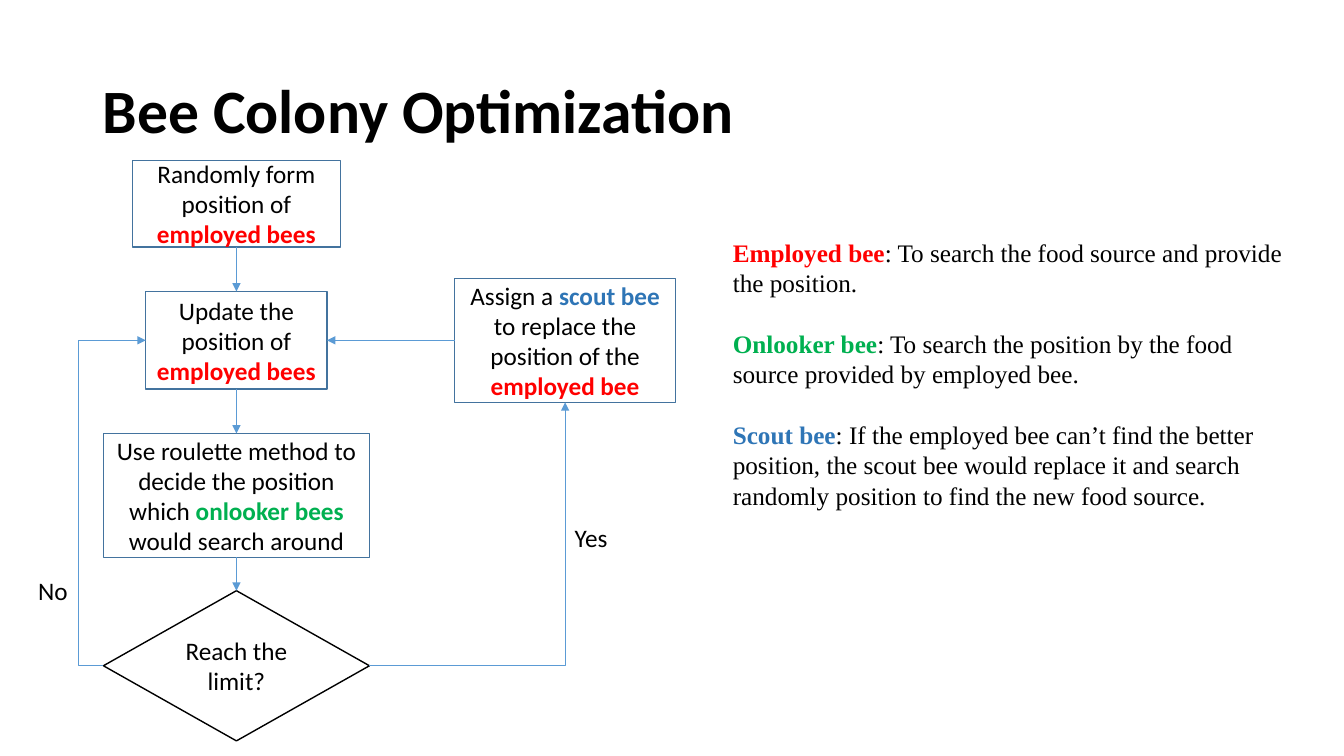
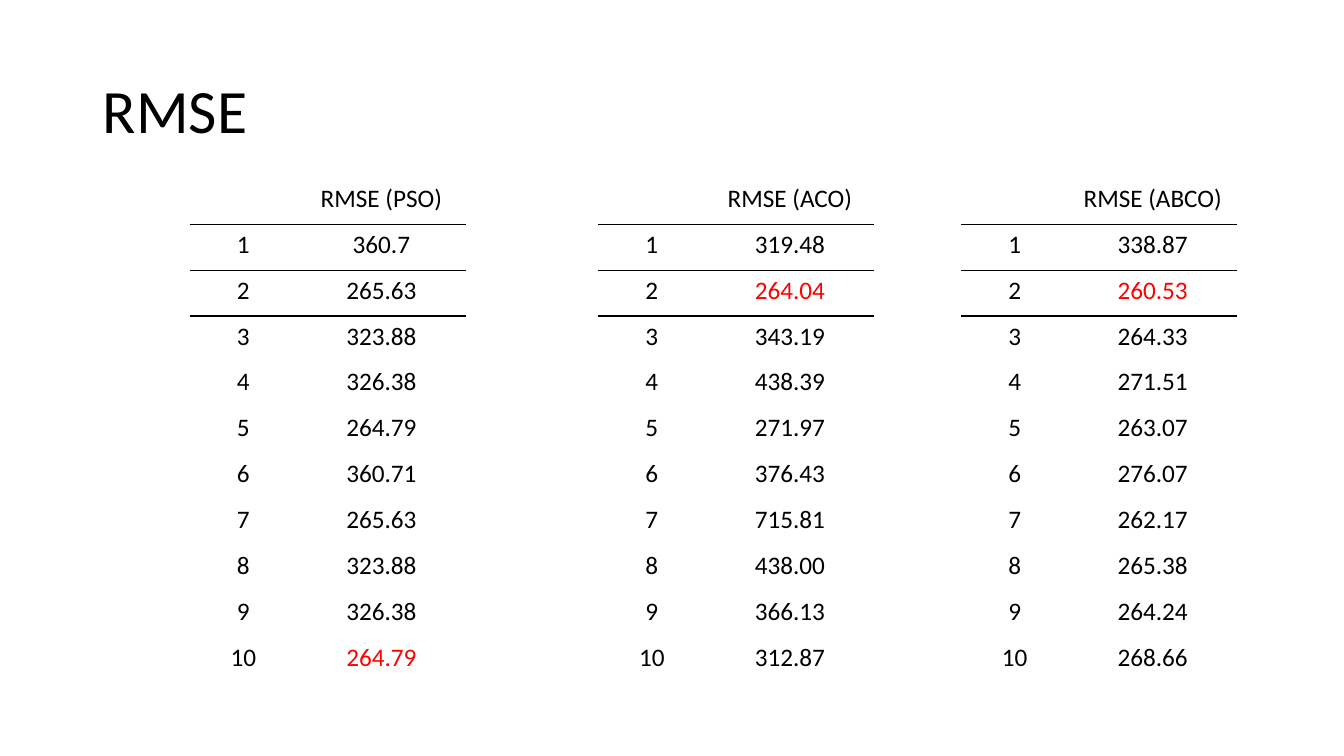
from dataclasses import dataclass

from lxml import etree
from pptx import Presentation
from pptx.dml.color import RGBColor
from pptx.enum.shapes import MSO_CONNECTOR as Connector, MSO_SHAPE as Shape
from pptx.enum.text import MSO_ANCHOR as Anchor, PP_ALIGN as Align
from pptx.oxml.ns import qn
from pptx.util import Emu, Inches, Pt

BLACK = RGBColor(0x00, 0x00, 0x00)
RED = RGBColor(0xFF, 0x00, 0x00)
GREEN = RGBColor(0x00, 0xB0, 0x50)
BLUE = RGBColor(0x2E, 0x75, 0xB6)
BORDER = RGBColor(0x43, 0x73, 0x9E)
ARROW = RGBColor(0x5B, 0x9B, 0xD5)
SANS, SERIF = "Calibri", "Times New Roman"
BODY_SIZE, TITLE_SIZE = Pt(18), Pt(44)
TITLE_ONLY = 5
PLAIN_TABLE = "{2D5ABB26-0587-4C30-8999-92F81FD0307C}"
TOP, LEFT, BOTTOM, RIGHT = range(4)


@dataclass
class Box:
    """A rectangle that hands out areas of itself by percentage."""
    left: int
    top: int
    width: int
    height: int

    def area(self, left, top, width, height):
        """Return the inner box at the given percentages."""
        return Box(Emu(round(self.left + self.width * left / 100)),
                   Emu(round(self.top + self.height * top / 100)),
                   Emu(round(self.width * width / 100)),
                   Emu(round(self.height * height / 100)))

    def centred(self, middle, top, width, height):
        """Return the inner box centred on a vertical axis."""
        return self.area(middle - width / 2, top, width, height)

    def place(self):
        """Return left, top, width and height."""
        return self.left, self.top, self.width, self.height


def style_paragraph(paragraph, font_name=SANS, size=BODY_SIZE, align=Align.LEFT):
    """Set the font and alignment of a paragraph."""
    paragraph.alignment = align
    paragraph.font.name = font_name
    paragraph.font.size = size
    paragraph.font.color.rgb = BLACK


def write_runs(paragraph, runs):
    """Add plain strings, and bold ones given as (text, colour)."""
    for item in runs:
        text, colour = (item, None) if isinstance(item, str) else item
        run = paragraph.add_run()
        run.text = text
        if colour is not None:
            run.font.bold = True
            run.font.color.rgb = colour


def add_titled_slide(presentation, title, bold=False):
    """Add a slide with the shared title style and return it with its box."""
    slide = presentation.slides.add_slide(presentation.slide_layouts[TITLE_ONLY])
    page = Box(0, 0, presentation.slide_width, presentation.slide_height)
    shape = slide.shapes.title
    box = page.area(6.9, 5.33, 86.27, 19.33)
    shape.left, shape.top, shape.width, shape.height = box.place()
    shape.text_frame.text = title
    shape.text_frame.vertical_anchor = Anchor.MIDDLE
    paragraph = shape.text_frame.paragraphs[0]
    style_paragraph(paragraph, size=TITLE_SIZE)
    paragraph.line_spacing = 0.9
    paragraph.font.bold = bold
    return slide, page


def add_step(slide, box, runs, kind=Shape.RECTANGLE, border=BORDER):
    """Add one outlined flowchart step."""
    shape = slide.shapes.add_shape(kind, *box.place())
    shape.shadow.inherit = False
    shape.fill.background()
    shape.line.color.rgb = border
    shape.line.width = Pt(1)
    frame = shape.text_frame
    frame.word_wrap = True
    frame.vertical_anchor = Anchor.MIDDLE
    style_paragraph(frame.paragraphs[0], align=Align.CENTER)
    write_runs(frame.paragraphs[0], runs)
    return shape


def add_arrow(slide, start, start_site, end, end_site, preset="line", bend=None):
    """Join two steps with an arrow, optionally bent."""
    kind = Connector.STRAIGHT if preset == "line" else Connector.ELBOW
    arrow = slide.shapes.add_connector(kind, 0, 0, 0, 0)
    arrow.begin_connect(start, start_site)
    arrow.end_connect(end, end_site)
    arrow.line.color.rgb = ARROW
    arrow.line.width = Pt(0.5)
    properties = arrow.element.spPr
    geometry = properties.find(qn("a:prstGeom"))
    geometry.set("prst", preset)
    if bend is not None:
        etree.SubElement(geometry.find(qn("a:avLst")), qn("a:gd"),
                         name="adj1", fmla=f"val {bend}")
    etree.SubElement(properties.find(qn("a:ln")), qn("a:tailEnd"), type="triangle")
    etree.SubElement(properties, qn("a:effectLst"))


def add_label(slide, box, text):
    """Add a one-line branch label."""
    frame = slide.shapes.add_textbox(*box.place()).text_frame
    frame.word_wrap = False
    style_paragraph(frame.paragraphs[0])
    write_runs(frame.paragraphs[0], [text])


def add_flowchart(slide, box):
    """Draw the steps of the bee colony search."""
    axis = 32.17
    start = add_step(slide, box.centred(axis, 0, 32.1, 14.93),
                     ["Randomly form position of ", ("employed bees", RED)])
    update = add_step(slide, box.centred(axis, 22.6, 28, 16.84),
                      ["Update the position of ", ("employed bees", RED)])
    roulette = add_step(slide, box.centred(axis, 47.05, 41.1, 21.35),
                        ["Use roulette method to decide the position which ",
                         ("onlooker bees ", GREEN), "would search around"])
    limit = add_step(slide, box.centred(axis, 74.13, 41.1, 25.87),
                     ["Reach the limit?"], Shape.DIAMOND, BLACK)
    scout = add_step(slide, box.area(65.9, 20.34, 34.1, 21.35),
                     ["Assign a ", ("scout bee ", BLUE),
                      "to replace the position of the ", ("employed bee", RED)])
    column = [start, update, roulette, limit]
    for upper, lower in zip(column, column[1:]):
        add_arrow(slide, upper, BOTTOM, lower, TOP)
    add_arrow(slide, scout, LEFT, update, RIGHT)
    add_arrow(slide, limit, RIGHT, scout, BOTTOM, "bentConnector2")
    add_arrow(slide, limit, LEFT, update, LEFT, "bentConnector3", -59600)
    add_label(slide, box.area(82.9, 61.5, 8.26, 6.94), "Yes")
    add_label(slide, box.area(0, 70.66, 7.8, 6.94), "No")


def add_roles(slide, box, roles):
    """List each kind of bee with its task."""
    frame = slide.shapes.add_textbox(*box.place()).text_frame
    frame.word_wrap = True
    for index, (name, colour, task) in enumerate(roles):
        paragraph = frame.add_paragraph() if index else frame.paragraphs[0]
        style_paragraph(paragraph, SERIF)
        paragraph.space_before = Pt(22 if index else 0)
        write_runs(paragraph, [(name, colour), f": {task}"])


def add_rule(cell, side):
    """Draw a black rule on the top (lnT) or bottom (lnB) of a cell."""
    properties = cell._tc.get_or_add_tcPr()
    rule = etree.Element(qn(f"a:{side}"), w=str(Pt(1)))
    fill = etree.SubElement(rule, qn("a:solidFill"))
    etree.SubElement(fill, qn("a:srgbClr"), val=str(BLACK))
    properties.insert(len(properties.findall(qn("a:lnT"))), rule)


def add_scores(slide, box, method, scores, best):
    """Add one table of numbered scores with the best one in red."""
    rows = [("", f"RMSE ({method})")]
    rows += [(str(number), score) for number, score in enumerate(scores, 1)]
    graphic = slide.shapes.add_table(len(rows), 2, *box.place())
    table = graphic.table
    table.first_row = table.horz_banding = False
    next(graphic.element.iter(qn("a:tableStyleId"))).text = PLAIN_TABLE
    for column, share in zip(table.columns, (0.39, 0.61)):
        column.width = Emu(round(box.width * share))
    for row_index, texts in enumerate(rows):
        table.rows[row_index].height = Emu(round(box.height / len(rows)))
        for column_index, text in enumerate(texts):
            cell = table.cell(row_index, column_index)
            cell.fill.background()
            paragraph = cell.text_frame.paragraphs[0]
            style_paragraph(paragraph, align=Align.CENTER)
            if text:
                write_runs(paragraph, [text])
            if row_index == best and column_index == 1:
                paragraph.runs[0].font.color.rgb = RED
            if row_index in (1, 2):
                add_rule(cell, "lnT")
            if row_index in (0, 1):
                add_rule(cell, "lnB")


def build_method_slide(presentation):
    """Build the flowchart slide."""
    slide, page = add_titled_slide(presentation, "Bee Colony Optimization", bold=True)
    add_flowchart(slide, page.area(2.1, 21.2, 48.16, 76.8))
    add_roles(slide, page.area(53.79, 30.67, 42.39, 37.73), [
        ("Employed bee", RED, "To search the food source and provide the position."),
        ("Onlooker bee", GREEN,
         "To search the position by the food source provided by employed bee. "),
        ("Scout bee", BLUE,
         "If the employed bee can’t find the better position, the scout bee would "
         "replace it and search randomly position to find the new food source."),
    ])


def build_score_slide(presentation):
    """Build the slide with three score tables."""
    slide, page = add_titled_slide(presentation, "RMSE")
    methods = [
        (14.1, "PSO", 10, "360.7 265.63 323.88 326.38 264.79 "
                          "360.71 265.63 323.88 326.38 264.79"),
        (44.49, "ACO", 2, "319.48 264.04 343.19 438.39 271.97 "
                          "376.43 715.81 438.00 366.13 312.87"),
        (71.49, "ABCO", 2, "338.87 260.53 264.33 271.51 263.07 "
                           "276.07 262.17 265.38 264.24 268.66"),
    ]
    for left, method, best, scores in methods:
        add_scores(slide, page.area(left, 23.6, 20.55, 66.8), method, scores.split(), best)


def main():
    """Build and save the presentation."""
    presentation = Presentation()
    presentation.slide_width, presentation.slide_height = Inches(13.33), Inches(7.5)
    build_method_slide(presentation)
    build_score_slide(presentation)
    presentation.save("out.pptx")


main()
